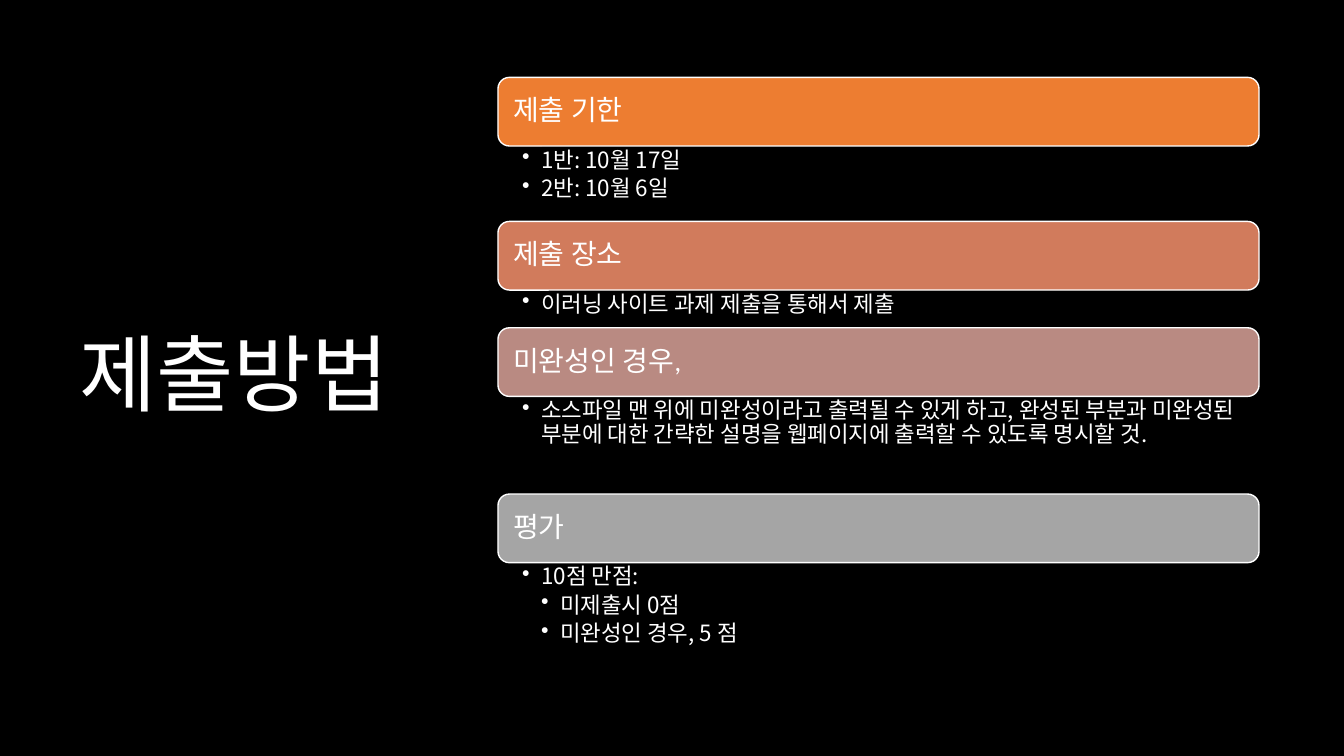
import pptx
import pptx.dml.color
import pptx.enum.shapes
import pptx.enum.text
import pptx.util
from lxml import etree

Cm = pptx.util.Cm
Pt = pptx.util.Pt
RGBColor = pptx.dml.color.RGBColor
ANCHOR = pptx.enum.text.MSO_ANCHOR
LEFT_ALIGNED = pptx.enum.text.PP_ALIGN.LEFT

BLACK = RGBColor(0x00, 0x00, 0x00)
WHITE = RGBColor(0xFF, 0xFF, 0xFF)
ORANGE = RGBColor(0xED, 0x7D, 0x31)
TERRACOTTA = RGBColor(0xD1, 0x7B, 0x5C)
DUSTY_ROSE = RGBColor(0xB9, 0x8A, 0x82)
GRAY = RGBColor(0xA5, 0xA5, 0xA5)

HEADING_FONT = "Calibri"
BODY_FONT = "Noto Sans CJK KR"
LEFT, TOP, WIDTH = 12.55, 1.95, 19.18
BAND_HEIGHT = 1.73
INDENT = 0.48

SECTIONS = [
    ("제출 기한", ORANGE, 1.9, [(1, "1반: 10월 17일"), (1, "2반: 10월 6일")]),
    ("제출 장소", TERRACOTTA, 0.95, [(1, "이러닝 사이트 과제 제출을 통해서 제출")]),
    ("미완성인 경우,", DUSTY_ROSE, 2.46, [
        (1, "소스파일 맨 위에 미완성이라고 출력될 수 있게 하고, 완성된 부분과 "
            "미완성된 부분에 대한 간략한 설명을 웹페이지에 출력할 수 있도록 명시할 것."),
    ]),
    ("평가", GRAY, 2.82, [
        (1, "10점 만점:"), (2, "미제출시 0점"), (2, "미완성인 경우, 5 점"),
    ]),
]


class SlideBuilder:
    """Holds the text style and the current page."""

    def __init__(self, page):
        """Start on a page with a black background."""
        self.page = page
        page.background.fill.solid()
        page.background.fill.fore_color.rgb = BLACK

    def style(self, para, font, size):
        """Give a paragraph the shared white, left-aligned look."""
        para.alignment = LEFT_ALIGNED
        para.line_spacing = 0.9
        para.font.name = font
        para.font.size = Pt(size)
        para.font.color.rgb = WHITE

    def frame(self, box, anchor, left, top, right, bottom):
        """Set wrapping, anchor and insets of a box, and return its frame."""
        frame = box.text_frame
        frame.word_wrap = True
        frame.auto_size = pptx.enum.text.MSO_AUTO_SIZE.NONE
        frame.vertical_anchor = anchor
        frame.margin_left, frame.margin_top = Cm(left), Cm(top)
        frame.margin_right, frame.margin_bottom = Cm(right), Cm(bottom)
        return frame

    def title(self, text):
        """Place the title on the left side."""
        box = self.page.shapes.title
        box.left, box.top, box.width, box.height = Cm(1.75), Cm(1.78), Cm(9.5), Cm(15.52)
        frame = self.frame(box, ANCHOR.MIDDLE, 0.25, 0.13, 0.25, 0.13)
        frame.text = text
        self.style(frame.paragraphs[0], HEADING_FONT, 60)

    def band(self, top, text, color):
        """Draw a rounded, coloured heading band."""
        band = self.page.shapes.add_shape(
            pptx.enum.shapes.MSO_SHAPE.ROUNDED_RECTANGLE,
            Cm(LEFT), Cm(top), Cm(WIDTH), Cm(BAND_HEIGHT))
        band.shadow.inherit = False
        band.fill.solid()
        band.fill.fore_color.rgb = color
        band.line.color.rgb = WHITE
        band.line.width = Pt(1)
        frame = self.frame(band, ANCHOR.MIDDLE, 0.3, 0.2, 0.3, 0.2)
        frame.text = text
        self.style(frame.paragraphs[0], HEADING_FONT, 20)

    def bullets(self, top, height, items):
        """Write a bulleted list of (level, text) items."""
        box = self.page.shapes.add_textbox(Cm(LEFT), Cm(top), Cm(WIDTH), Cm(height))
        frame = self.frame(box, ANCHOR.TOP, 0.61, 0.07, 0.41, 0.07)
        frame.text = "\n".join(text for level, text in items)
        for para, (level, text) in zip(frame.paragraphs, items):
            para.level = level
            properties = para._p.get_or_add_pPr()
            properties.set("marL", str(Cm(INDENT * level)))
            properties.set("indent", str(-Cm(INDENT)))
            bullet = etree.SubElement(properties, pptx.oxml.ns.qn("a:buChar"))
            bullet.set("char", "•")
            para.space_after = Pt(3)
            self.style(para, BODY_FONT, 16)


def main():
    deck = pptx.Presentation()
    deck.slide_width, deck.slide_height = Cm(33.87), Cm(19.05)
    builder = SlideBuilder(deck.slides.add_slide(deck.slide_layouts[5]))
    builder.title("제출방법")
    top = TOP
    for heading, color, height, items in SECTIONS:
        builder.band(top, heading, color)
        builder.bullets(top + BAND_HEIGHT, height, items)
        top += BAND_HEIGHT + height
    deck.save("out.pptx")


if __name__ == "__main__":
    main()
